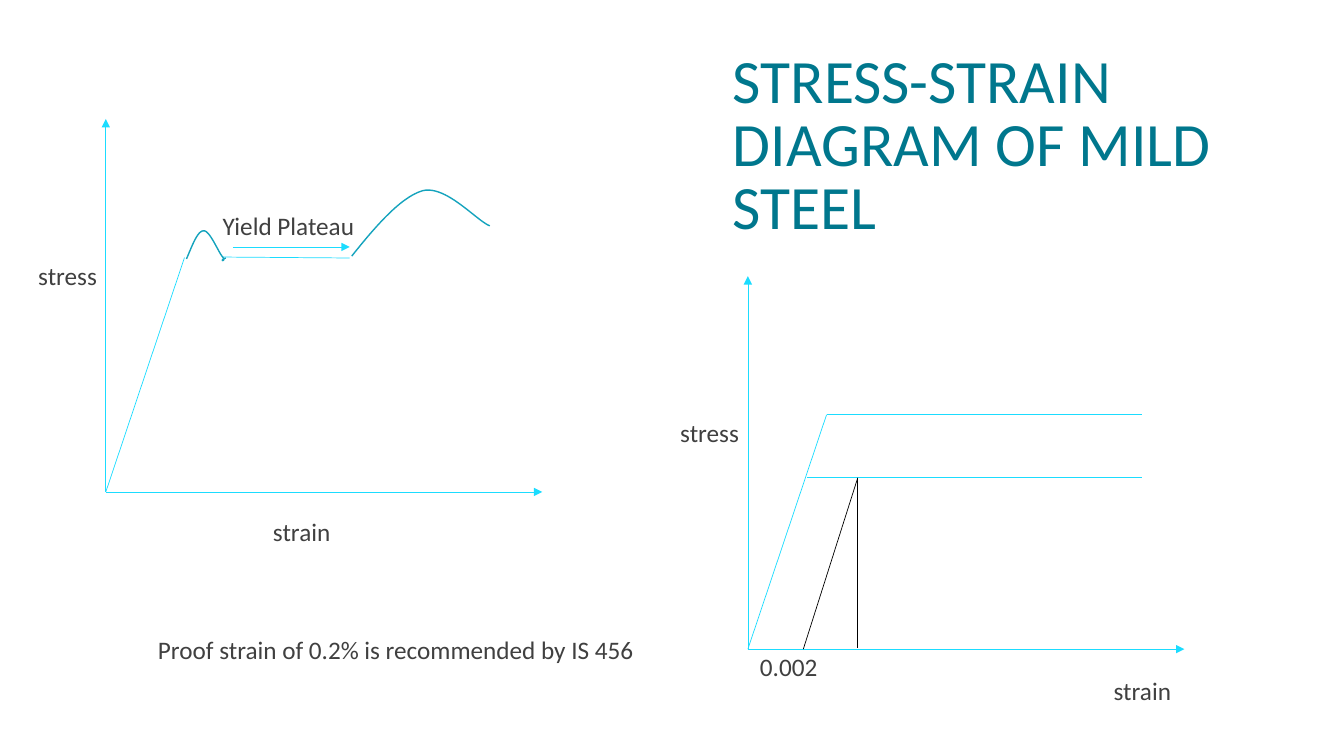
from typing import NamedTuple

from lxml import etree
from pptx import Presentation
from pptx.dml.color import RGBColor
from pptx.enum.shapes import MSO_CONNECTOR
from pptx.enum.text import MSO_ANCHOR, MSO_AUTO_SIZE, PP_ALIGN
from pptx.oxml.ns import qn
from pptx.util import Pt

STRAIGHT = MSO_CONNECTOR.STRAIGHT
BOTTOM = MSO_ANCHOR.BOTTOM
LEFT = PP_ALIGN.LEFT
NO_FIT = MSO_AUTO_SIZE.NONE
GROW = MSO_AUTO_SIZE.SHAPE_TO_FIT_TEXT

FONT = "Calibri"
CYAN, TEAL, BLACK = "1BDCFF", "14A3BD", "000000"
GREY, DEEP = "404040", "00778D"
STEPS = 24

Point = tuple[float, float]


class Line(NamedTuple):
    start: Point
    end: Point
    hue: str = CYAN
    arrow: bool = False


class Label(NamedTuple):
    text: str
    left: float
    top: float
    width: float


class Curve(NamedTuple):
    start: Point
    bends: list[tuple[Point, Point, Point]]


def color(code: str) -> RGBColor:
    return RGBColor.from_string(code)


def style(font, size: float, code: str) -> None:
    font.name = FONT
    font.size = Pt(size)
    font.color.rgb = color(code)


def draw_line(slide, line: Line) -> None:
    ends = [Pt(v) for v in line.start + line.end]
    shape = slide.shapes.add_connector(STRAIGHT, *ends)
    shape.line.color.rgb = color(line.hue)
    shape.line.width = Pt(0.5)
    props = shape._element.spPr
    if line.arrow:
        tail = etree.SubElement(props.find(qn("a:ln")), qn("a:tailEnd"))
        tail.set("type", "triangle")
    etree.SubElement(props, qn("a:effectLst"))


def draw_axes(slide, left: float, base: float) -> None:
    """Draw both axes and the elastic slope from one origin."""
    zero = (left, base)
    draw_line(slide, Line(zero, (left, base - 266.4), arrow=True))
    draw_line(slide, Line(zero, (left + 311.8, base), arrow=True))
    draw_line(slide, Line(zero, (left + 56.2, base - 167.4)))


def bezier(a: Point, b: Point, c: Point, d: Point, t: float) -> Point:
    u = 1 - t
    mix = (u**3, 3 * u * u * t, 3 * u * t * t, t**3)
    x, y = (sum(m * p[i] for m, p in zip(mix, (a, b, c, d))) for i in (0, 1))
    return x, y


def draw_curve(slide, curve: Curve) -> None:
    dots = []
    last = curve.start
    for bend in curve.bends:
        dots += [bezier(last, *bend, n / STEPS) for n in range(1, STEPS + 1)]
        last = bend[2]
    build = slide.shapes.build_freeform(*(Pt(v) for v in curve.start))
    build.add_line_segments([(Pt(x), Pt(y)) for x, y in dots], close=False)
    shape = build.convert_to_shape()
    shape.shadow.inherit = False
    shape.fill.background()
    shape.line.color.rgb = color(TEAL)
    shape.line.width = Pt(1)


def draw_label(slide, label: Label) -> None:
    place = (label.left, label.top, label.width, 29)
    frame = slide.shapes.add_textbox(*(Pt(v) for v in place)).text_frame
    frame.text = label.text
    frame.word_wrap = False
    frame.auto_size = GROW
    style(frame.paragraphs[0].runs[0].font, 18, GREY)


def draw_title(slide, text: str) -> None:
    title = slide.shapes.title
    title.left, title.top = Pt(516.2), Pt(32.4)
    title.width, title.height = Pt(378), Pt(144)
    frame = title.text_frame
    frame.text = text
    frame.word_wrap = True
    frame.auto_size = NO_FIT
    frame.vertical_anchor = BOTTOM
    para = frame.paragraphs[0]
    para.alignment = LEFT
    para.line_spacing = 0.85
    style(para.runs[0].font, 44, DEEP)


ORIGINS = [(75.6, 351.4), (534.2, 463.7)]

LINES = [
    # Yield plateau
    Line((159.1, 183.6), (249.8, 184.3)),
    Line((166.3, 176.4), (249.8, 176.4), arrow=True),
    # Flat stress levels
    Line((590.4, 296.3), (815.8, 296.3)),
    Line((576.7, 341.3), (815.8, 341.3)),
    # Proof strain offset
    Line((573.8, 463.7), (612.7, 341.3), BLACK),
    Line((612.7, 341.3), (612.7, 463), BLACK),
]

CURVES = [
    # Upper yield peak
    Curve((133.2, 185), [
        ((137.5, 175), (141.1, 164.9), (145.4, 164.9)),
        ((149.8, 164.2), (156.2, 180.7), (159.1, 183.6)),
        ((162, 187.2), (155.5, 186.5), (161.3, 184.3)),
    ]),
    # Strain hardening
    Curve((251.3, 182.9), [
        ((268.6, 161.3), (286.6, 140.4), (302.4, 136.1)),
        ((319, 132.5), (340.6, 157.7), (349.9, 161.3)),
    ]),
]

LABELS = [
    Label("Yield Plateau", 151.9, 146.9, 109.4),
    Label("strain", 187.9, 365, 56.2),
    Label("stress", 20.2, 182.2, 56.9),
    Label("strain", 788.4, 478.8, 56.2),
    Label("stress", 478.8, 294.5, 56.9),
    Label("0.002", 535.7, 461.5, 56.2),
    Label("Proof strain of 0.2% is recommended by IS 456", 105.8, 449.3, 362.2),
]


def main() -> None:
    deck = Presentation()
    deck.slide_width, deck.slide_height = Pt(960), Pt(540)
    slide = deck.slides.add_slide(deck.slide_layouts.get_by_name("Title Only"))
    draw_title(slide, "STRESS-STRAIN DIAGRAM OF MILD STEEL")
    for left, base in ORIGINS:
        draw_axes(slide, left, base)
    for line in LINES:
        draw_line(slide, line)
    for curve in CURVES:
        draw_curve(slide, curve)
    for label in LABELS:
        draw_label(slide, label)
    deck.save("out.pptx")


if __name__ == "__main__":
    main()
